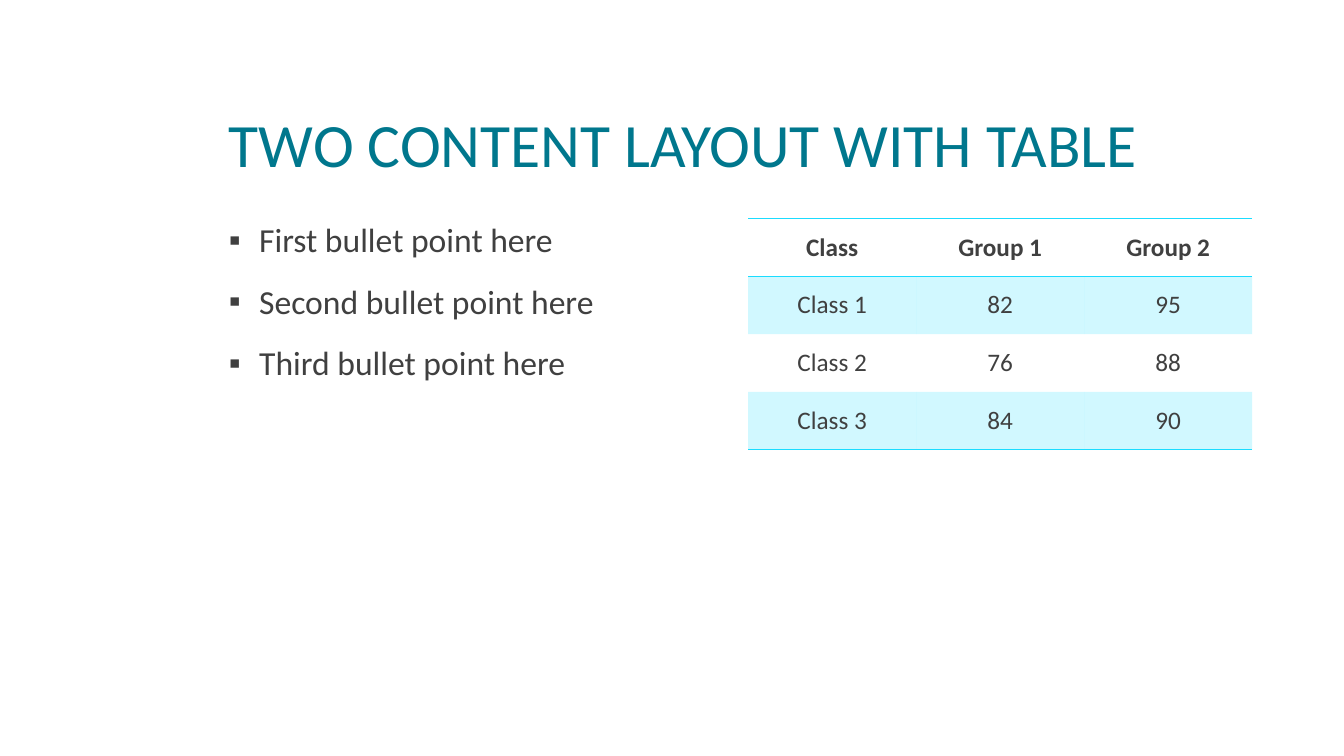
from pptx import Presentation
from pptx.dml.color import RGBColor
from pptx.enum.text import MSO_ANCHOR as ANCHOR, MSO_AUTO_SIZE as AUTO, PP_ALIGN as ALIGN
from pptx.oxml.ns import qn
from pptx.util import Inches, Pt
from lxml.etree import SubElement

FONT = "Calibri"
TEAL, GREY, CYAN = "00778D", "404040", "1BDCFF"
NO_STYLE = "{2D5ABB26-0587-4C30-8999-92F81FD0307C}"
BULLETS = ["First bullet point here", "Second bullet point here", "Third bullet point here"]
ROWS = [
    ["Class", "Group 1", "Group 2"],
    ["Class 1", "82", "95"],
    ["Class 2", "76", "88"],
    ["Class 3", "84", "90"],
]


def rgb(color):
    return RGBColor.from_string(color)


def write(p, text, size, color=GREY, bold=False, align=ALIGN.LEFT, spacing=1.0, before=0):
    p.alignment, p.line_spacing, p.space_before = align, spacing, Pt(before)
    r = p.add_run()
    r.text = text
    r.font.name, r.font.size, r.font.bold = FONT, Pt(size), bold
    r.font.color.rgb = rgb(color)


def place(sp, left, top, width, height, anchor):
    sp.left, sp.top, sp.width, sp.height = map(Inches, (left, top, width, height))
    tf = sp.text_frame
    tf.word_wrap, tf.auto_size, tf.vertical_anchor = True, AUTO.NONE, anchor
    return tf


def add_bullet(p, char="▪", indent=0.3):
    pPr = p._p.get_or_add_pPr()
    pPr.set("marL", str(Inches(indent)))
    pPr.set("indent", str(-Inches(indent)))
    SubElement(pPr, qn("a:buChar"), char=char)


def fill_list(tf, items):
    for i, item in enumerate(items):
        p = tf.paragraphs[0] if i == 0 else tf.add_paragraph()
        write(p, item, 24, spacing=0.9, before=18)
        add_bullet(p)


def add_border(cell, side, color=CYAN, width=1):
    ln = SubElement(cell._tc.get_or_add_tcPr(), qn(f"a:ln{side}"), w=str(Pt(width)))
    SubElement(SubElement(ln, qn("a:solidFill")), qn("a:srgbClr"), val=color)


def tint(cell, color=CYAN, opacity=20):
    cell.fill.solid()
    cell.fill.fore_color.rgb = rgb(color)
    clr = cell._tc.tcPr.find(qn("a:solidFill")).find(qn("a:srgbClr"))
    SubElement(clr, qn("a:alpha"), val=str(opacity * 1000))


def add_score_table(s, rows, left, top, width, height):
    box = map(Inches, (left, top, width, height))
    table = s.shapes.add_table(len(rows), len(rows[0]), *box).table
    table.horz_banding = False
    table._tbl.tblPr.find(qn("a:tableStyleId")).text = NO_STYLE
    for i, row in enumerate(rows):
        for j, text in enumerate(row):
            cell = table.cell(i, j)
            cell.vertical_anchor = ANCHOR.MIDDLE
            write(cell.text_frame.paragraphs[0], text, 18, bold=i == 0, align=ALIGN.CENTER)
            # Borders come before the fill in the cell properties
            if i == 0:
                add_border(cell, "T")
            if i in (0, len(rows) - 1):
                add_border(cell, "B")
            if i % 2:
                tint(cell)
            else:
                cell.fill.background()


def main():
    prs = Presentation()
    prs.slide_width, prs.slide_height = Inches(13.33), Inches(7.5)
    s = prs.slides.add_slide(prs.slide_layouts[1])

    # Title
    tf = place(s.shapes.title, 2.17, 0.42, 10.25, 1.42, ANCHOR.BOTTOM)
    write(tf.paragraphs[0], "TWO CONTENT LAYOUT WITH TABLE", 44, TEAL, spacing=0.85)

    # Bullets on the left
    fill_list(place(s.placeholders[1], 2.17, 2.17, 5, 4.9, ANCHOR.TOP), BULLETS)

    # Table on the right
    add_score_table(s, ROWS, 7.42, 2.17, 5, 2.29)

    prs.save("out.pptx")


if __name__ == "__main__":
    main()
